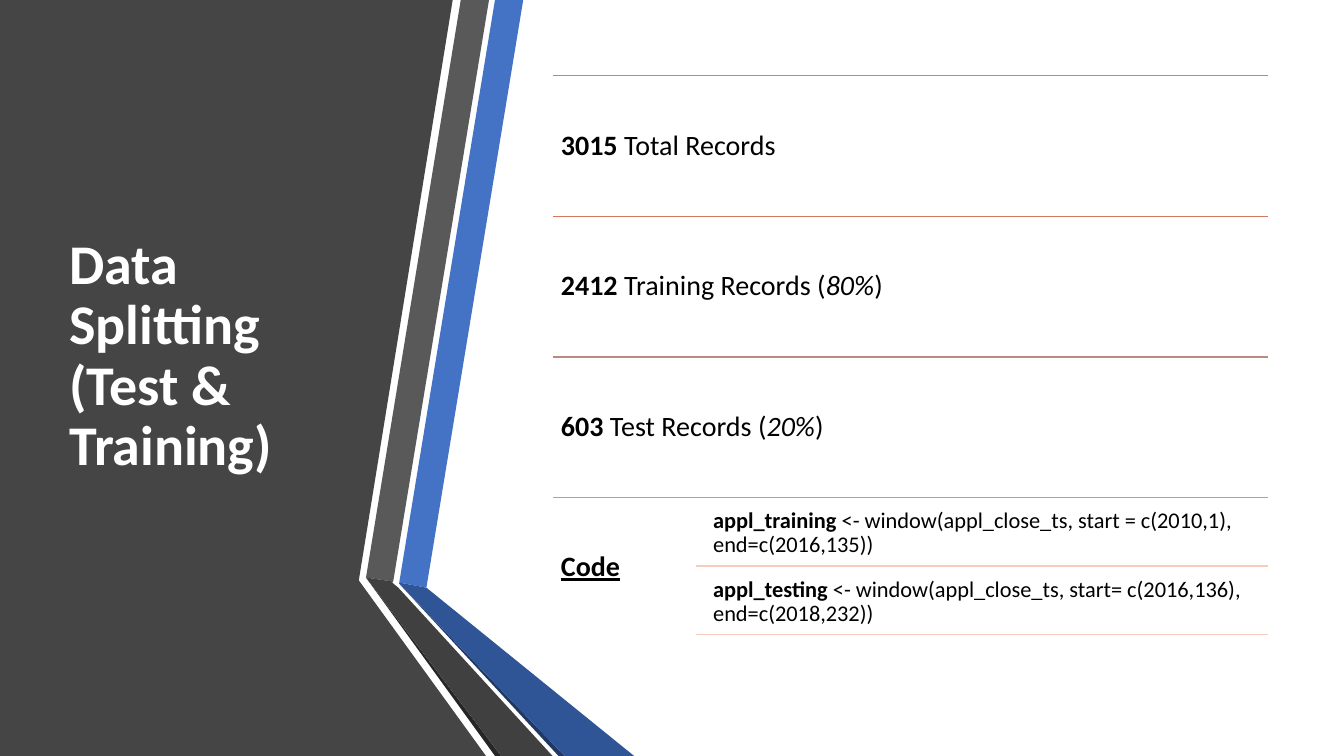
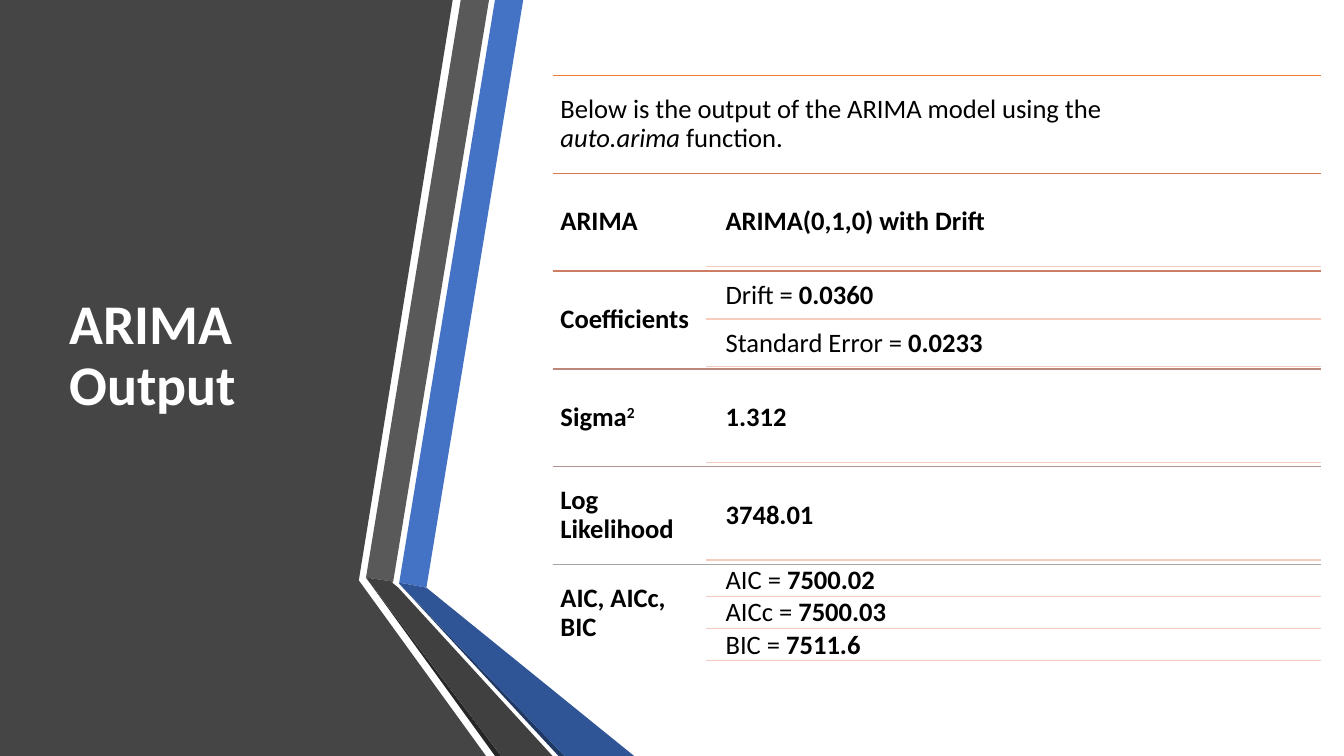
from pptx import Presentation
from pptx.dml.color import RGBColor
from pptx.enum.shapes import MSO_CONNECTOR as Connector
from pptx.enum.text import MSO_ANCHOR as Anchor
from pptx.oxml.ns import qn
from pptx.util import Inches, Pt
from lxml import etree

# Shared look
FONT = "Calibri"
TEXT, WHITE, DETAIL_RULE = "000000", "FFFFFF", "F6CCBE"
TITLE_AREA = (0.59, 0.75, 3.04, 5.58)
LIST_LEFT, LIST_TOP = 5.48, 0.75
FULL_ROW_WIDTH = 6.05
LABEL_SHARE, INDENT_SHARE = 0.2, 0.015  # of the list width
GAP_SHARE = 0.05  # gap between details, of a detail's height

# Folded side panel: fill colour and outline, back to front
PANEL = [
    ("454545", [(0, 0), (4.49, 0), (3.56, 5.75), (3.56, 5.76), (4.82, 7.5), (0, 7.5)]),
    ("4472C4", [(3.96, 5.78), (4.23, 5.83), (5.19, 0), (4.91, 0)]),
    ("595959", [(4.85, 0), (4.57, 0), (3.63, 5.73), (3.9, 5.77)]),
    ("262626", [(3.63, 5.73), (4.91, 7.5), (4.97, 7.5)]),
    ("203864", [(3.96, 5.79), (5.54, 7.5), (5.6, 7.5)]),
    ("2F5597", [(3.96, 5.79), (5.6, 7.5), (6.29, 7.5), (4.23, 5.83), (3.96, 5.78)]),
    ("404040", [(5.48, 7.5), (3.95, 5.83), (3.89, 5.78), (3.9, 5.77), (3.63, 5.73), (4.97, 7.5)]),
]

# Content: a text is a list of (words, style); styles are b, i, u and s (superscript).
# A row is (rule colour, label, details).
SLIDES = [
    {
        "title": "Data Splitting (Test & Training)",
        "width": 7.1, "row_height": 1.395, "size": 20, "detail_size": 16,
        "rows": [
            ("ED7D31", [("3015 ", "b"), ("Total Records", "")], []),
            ("D17B5C", [("2412", "b"), (" Training Records (", ""), ("80%", "i"), (")", "")], []),
            ("B98A82", [("603", "b"), (" Test Records (", ""), ("20%", "i"), (")", "")], []),
            ("A5A5A5", [("Code", "bu")], [
                [("appl_training ", "b"),
                 ("<- window(appl_close_ts, start = c(2010,1), end=c(2016,135))", "")],
                [("appl_testing ", "b"),
                 ("<- window(appl_close_ts, start= c(2016,136), end=c(2018,232))", "")],
            ]),
        ],
    },
    {
        "title": "ARIMA Output",
        "width": 7.62, "row_height": 0.97, "size": 19, "detail_size": 19,
        "rows": [
            ("ED7D31", [("Below is the output of the ARIMA model using the ", ""),
                        ("auto.arima", "i"), (" function.", "")], []),
            ("DC7A4B", [("ARIMA", "b")], [[("ARIMA(0,1,0) with Drift", "b")]]),
            ("CC7D64", [("Coefficients", "b")], [
                [("Drift = ", ""), ("0.0360", "b")],
                [("Standard Error = ", ""), ("0.0233", "b")],
            ]),
            ("BD867B", [("Sigma", "b"), ("2", "bs")], [[("1.312", "b")]]),
            ("B09391", [("Log Likelihood", "b")], [[("3748.01", "b")]]),
            ("A5A5A5", [("AIC, AICc, BIC", "b")], [
                [("AIC = ", ""), ("7500.02", "b")],
                [("AICc = ", ""), ("7500.03", "b")],
                [("BIC = ", ""), ("7511.6", "b")],
            ]),
        ],
    },
]


def color(hex_code):
    return RGBColor.from_string(hex_code)


def add_text(slide, area, spans, size, fill=TEXT, inset=None):
    box = slide.shapes.add_textbox(*(Inches(value) for value in area))
    frame = box.text_frame
    frame.word_wrap = True
    frame.vertical_anchor = Anchor.MIDDLE
    if inset is not None:
        frame.margin_left = frame.margin_right = inset
        frame.margin_top = frame.margin_bottom = inset
    para = frame.paragraphs[0]
    para.line_spacing = 0.9
    for words, style in spans:
        span = para.add_run()
        span.text = words
        font = span.font
        font.name, font.size = FONT, Pt(size)
        font.color.rgb = color(fill)
        font.bold, font.italic, font.underline = (key in style for key in "biu")
        if "s" in style:
            span._r.get_or_add_rPr().set("baseline", "30000")


def add_rule(slide, left, right, y, fill):
    rule = slide.shapes.add_connector(
        Connector.STRAIGHT, Inches(left), Inches(y), Inches(right), Inches(y))
    rule.line.color.rgb = color(fill)
    rule.line.width = Pt(1)
    etree.SubElement(rule._element.spPr, qn("a:effectLst"))


def add_panel(slide):
    for fill, outline in PANEL:
        points = [(Inches(x), Inches(y)) for x, y in outline]
        builder = slide.shapes.build_freeform(*points[0])
        builder.add_line_segments(points[1:], close=True)
        facet = builder.convert_to_shape()
        facet.shadow.inherit = False
        facet.fill.solid()
        facet.fill.fore_color.rgb = color(fill)
        facet.line.fill.background()


def add_details(slide, details, top, content):
    width, size = content["width"], content["detail_size"]
    right = LIST_LEFT + width
    rule_left = LIST_LEFT + width * LABEL_SHARE
    text_left = rule_left + width * INDENT_SHARE
    count = len(details)
    height = content["row_height"] / (count + GAP_SHARE * (count + 1))
    gap = height * GAP_SHARE
    for index, spans in enumerate(details):
        y = top + gap + index * (height + gap)
        add_text(slide, (text_left, y, right - text_left, height), spans, size,
                 inset=Pt(size * 0.3))
        add_rule(slide, rule_left, right, y + height, DETAIL_RULE)


def add_lined_list(slide, content):
    width, height, size = content["width"], content["row_height"], content["size"]
    for index, (rule_fill, label, details) in enumerate(content["rows"]):
        top = LIST_TOP + index * height
        add_rule(slide, LIST_LEFT, LIST_LEFT + width, top, rule_fill)
        # Labels without details span the row
        label_width = width * LABEL_SHARE
        if not details:
            label_width = FULL_ROW_WIDTH
        add_text(slide, (LIST_LEFT, top, label_width, height), label, size,
                 inset=Pt(size * 0.3))
        add_details(slide, details, top, content)


def main():
    deck = Presentation()
    deck.slide_width, deck.slide_height = Inches(13.33), Inches(7.5)
    for content in SLIDES:
        slide = deck.slides.add_slide(deck.slide_layouts[6])
        add_panel(slide)
        add_text(slide, TITLE_AREA, [(content["title"], "b")], 40, fill=WHITE)
        add_lined_list(slide, content)
    deck.save("out.pptx")


if __name__ == "__main__":
    main()
